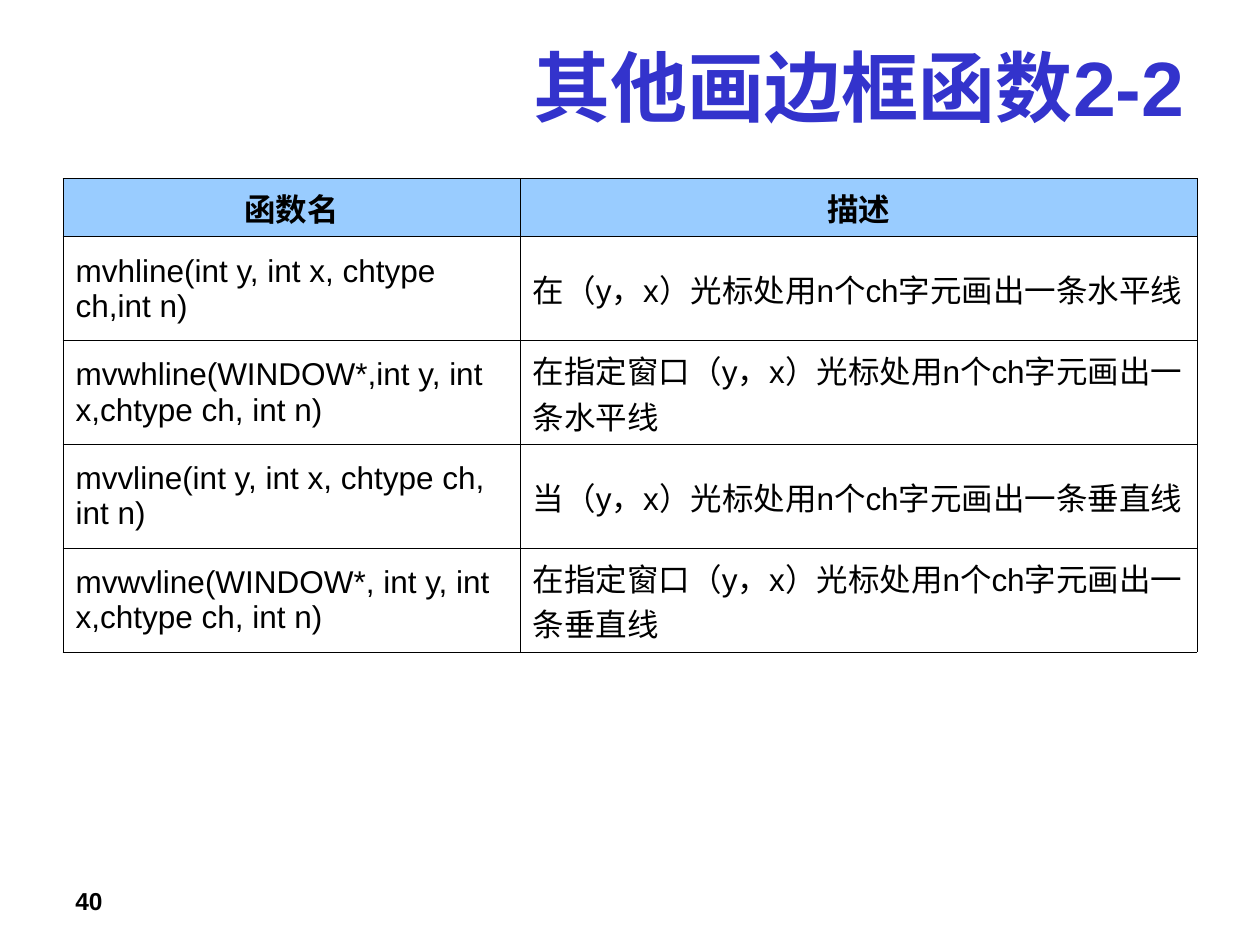
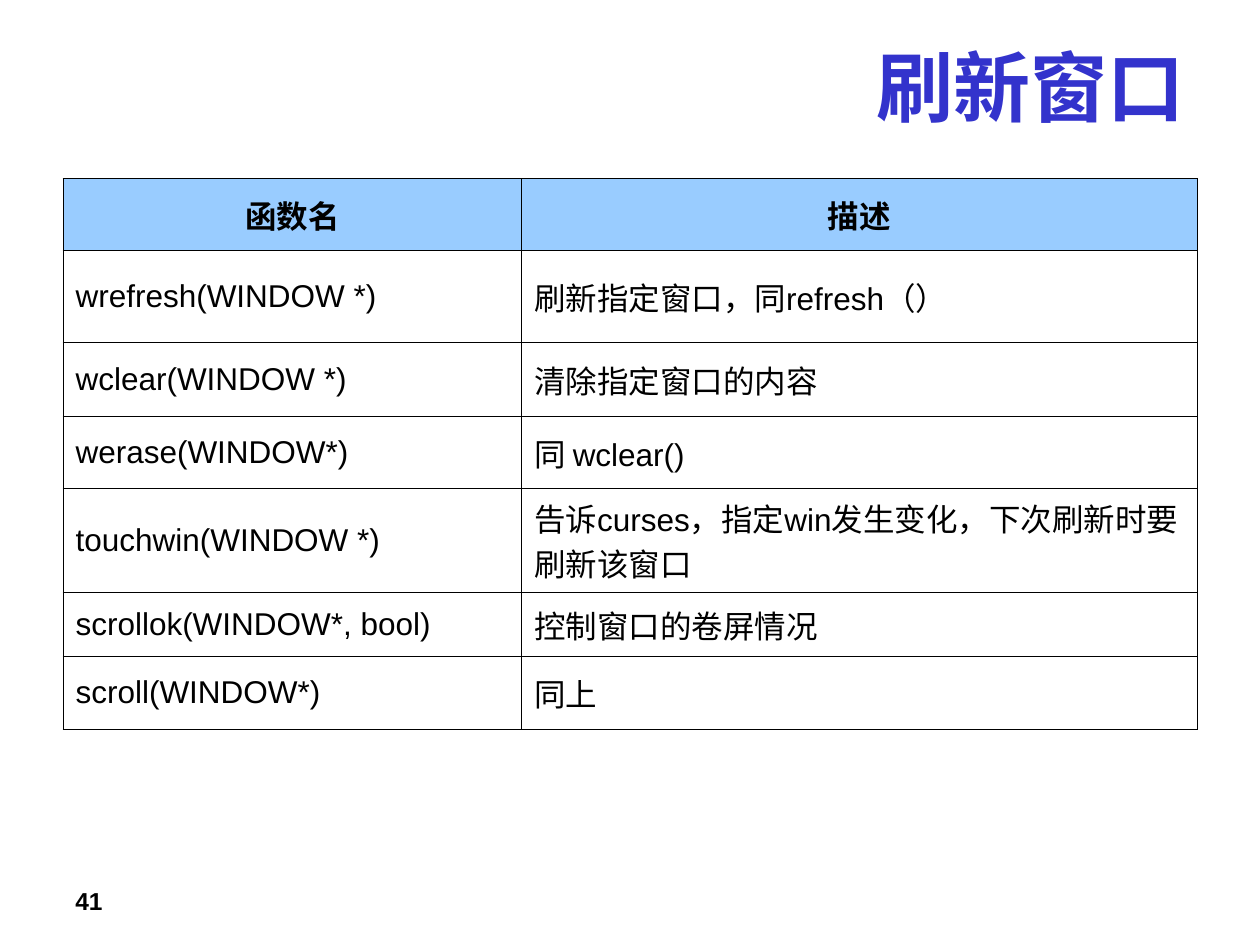
from lxml import etree
from pptx import Presentation
from pptx import util as u
from pptx.dml.color import RGBColor
from pptx.enum import text
from pptx.oxml.ns import qn

WIDTH, HEIGHT = u.Inches(10), u.Inches(7.5)
MARGIN = 0.05
CONTENT = 1 - 2 * MARGIN
FONT = "Arial"
TITLE_BLUE = RGBColor(0x33, 0x33, 0xCC)
HEADER_BLUE = RGBColor(0x99, 0xCC, 0xFF)
BLACK = RGBColor(0, 0, 0)
BORDER = u.Pt(0.45)
ROW_GAP = 4.5
HEADINGS = ("函数名", "描述")

BORDER_FUNCTIONS = [
    (0.82, "mvhline(int y, int x, chtype ch,int n)",
     "在（y，x）光标处用n个ch字元画出一条水平线"),
    (0.82, "mvwhline(WINDOW*,int y, int x,chtype ch, int n)",
     "在指定窗口（y，x）光标处用n个ch字元画出一条水平线"),
    (0.82, "mvvline(int y, int x, chtype ch, int n)",
     "当（y，x）光标处用n个ch字元画出一条垂直线"),
    (0.82, "mvwvline(WINDOW*, int y, int x,chtype ch, int n)",
     "在指定窗口（y，x）光标处用n个ch字元画出一条垂直线"),
]
REFRESH_FUNCTIONS = [
    (0.73, "wrefresh(WINDOW *)", "刷新指定窗口，同refresh（）", 10),
    (0.59, "wclear(WINDOW *)", "清除指定窗口的内容"),
    (0.57, "werase(WINDOW*)", "同 wclear()"),
    (0.82, "touchwin(WINDOW *)", "告诉curses，指定win发生变化，下次刷新时要刷新该窗口"),
    (0.51, "scrollok(WINDOW*, bool)", "控制窗口的卷屏情况"),
    (0.58, "scroll(WINDOW*)", "同上"),
]


def box(x, y, w, h):
    """Turn shares of the slide into lengths."""
    return int(x * WIDTH), int(y * HEIGHT), int(w * WIDTH), int(h * HEIGHT)


def style(p, size, color=BLACK, bold=False, align=text.PP_ALIGN.LEFT):
    """Set the font and alignment of a paragraph."""
    p.alignment = align
    p.font.name, p.font.size, p.font.bold = FONT, u.Pt(size), bold
    p.font.color.rgb = color


def add_title(s, title):
    """Fill the title placeholder, right-aligned."""
    sp = s.shapes.title
    sp.left, sp.top, sp.width, sp.height = box(MARGIN, 0.033, CONTENT, 0.116)
    tf = sp.text_frame
    tf.text = title
    tf.auto_size = text.MSO_AUTO_SIZE.NONE
    tf.vertical_anchor = text.MSO_ANCHOR.MIDDLE
    style(tf.paragraphs[0], 44, TITLE_BLUE, True, text.PP_ALIGN.RIGHT)


def add_page_number(s, number):
    """Write the page number at the lower left."""
    tf = s.shapes.add_textbox(*box(MARGIN, 0.931, 0.233, 0.032)).text_frame
    tf.word_wrap = True
    tf.text = str(number)
    style(tf.paragraphs[0], 14, bold=True)


def add_borders(cell):
    """Draw a thin black line on every side of a cell."""
    tcPr = cell._tc.get_or_add_tcPr()
    for side in ("a:lnL", "a:lnR", "a:lnT", "a:lnB"):
        ln = etree.SubElement(tcPr, qn(side), w=str(int(BORDER)))
        fill = etree.SubElement(ln, qn("a:solidFill"))
        etree.SubElement(fill, qn("a:srgbClr"), val=str(BLACK))


def fill_cell(cell, words, header=False, gap=ROW_GAP):
    """Write and format one table cell."""
    add_borders(cell)
    if header:
        cell.fill.solid()
        cell.fill.fore_color.rgb = HEADER_BLUE
    else:
        cell.fill.background()
    cell.vertical_anchor = text.MSO_ANCHOR.MIDDLE
    cell.text = words
    p = cell.text_frame.paragraphs[0]
    p.space_before = u.Pt(gap)
    align = text.PP_ALIGN.CENTER if header else text.PP_ALIGN.LEFT
    style(p, 18, bold=header, align=align)


def add_function_table(s, header_height, functions, name_width):
    """Add a table of functions and their descriptions."""
    rows = [(header_height, *HEADINGS), *functions]
    height = sum(row[0] for row in rows) / u.Length(HEIGHT).inches
    frame = s.shapes.add_table(len(rows), len(HEADINGS),
                               *box(MARGIN, 0.189, CONTENT, height))
    table = frame.table
    table.horz_banding = False
    table.columns[0].width = u.Inches(name_width)
    table.columns[1].width = int(CONTENT * WIDTH) - u.Inches(name_width)
    for i, (row_height, name, description, *gap) in enumerate(rows):
        table.rows[i].height = u.Inches(row_height)
        fill_cell(table.cell(i, 0), name, i == 0)
        fill_cell(table.cell(i, 1), description, i == 0, *gap)


def main():
    """Build the two function slides."""
    prs = Presentation()
    prs.slide_width, prs.slide_height = WIDTH, HEIGHT
    slides = [
        ("其他画边框函数2-2", 0.46, BORDER_FUNCTIONS, 3.63),
        ("刷新窗口", 0.57, REFRESH_FUNCTIONS, 3.64),
    ]
    for number, (title, header_height, functions, width) in enumerate(slides, 40):
        s = prs.slides.add_slide(prs.slide_layouts[5])
        add_title(s, title)
        add_function_table(s, header_height, functions, width)
        add_page_number(s, number)
    prs.save("out.pptx")


if __name__ == "__main__":
    main()
